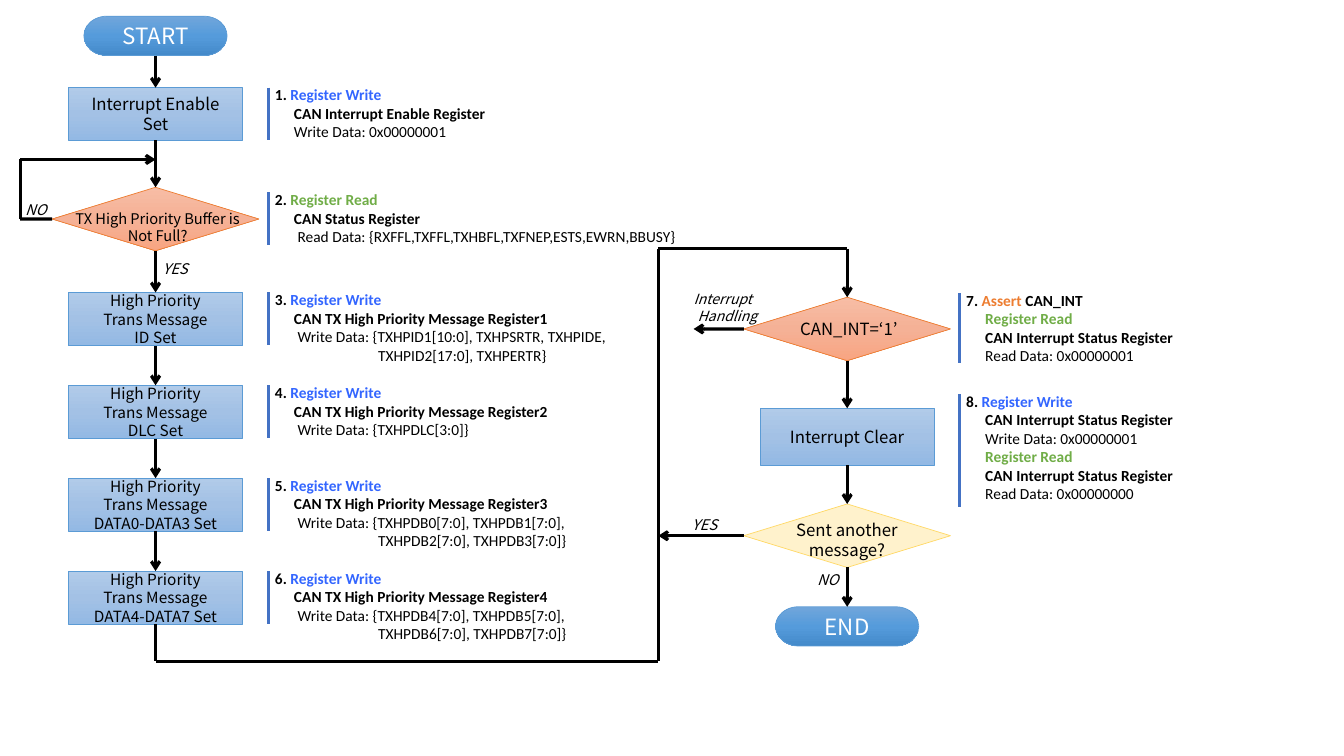
import copy
import pptx
import pptx.util
import pptx.dml.color
import pptx.enum.shapes
import pptx.enum.text
import pptx.oxml
import pptx.oxml.ns

Cm = pptx.util.Cm
Pt = pptx.util.Pt
RGB = pptx.dml.color.RGBColor.from_string
MSO = pptx.enum.shapes.MSO_SHAPE
ALIGN = pptx.enum.text.PP_ALIGN
ANCHOR = pptx.enum.text.MSO_ANCHOR
qn = pptx.oxml.ns.qn

THEME = {
    "colors": {"black": "000000", "white": "FFFFFF", "write": "3366FF", "read": "70AD47",
               "assert": "ED7D31", "bar": "4472C4"},
    "fills": {"terminator": ["71A6DB", "559BDB", "448ACA"], "process": ["B1CBE9", "A3C1E5", "93B9E4"],
              "decision": ["F7BDA5", "F5B196", "F8A582"], "again": ["FFF2CC"]},
    "outlines": {"terminator": "5B9BD5", "process": "5B9BD5", "decision": "ED7D31", "again": "FFD966"},
    "text": {
        "terminator": {"name": "Noto Sans CJK JP", "size": Pt(16)},
        "step": {"name": "Noto Sans CJK JP", "size": Pt(12)},
        "message": {"name": "Noto Sans CJK JP", "size": Pt(11)},
        "buffer": {"name": "Noto Sans CJK JP", "size": Pt(10.5)},
        "label": {"name": "Noto Sans CJK JP", "size": Pt(10.5), "italic": True},
        "handling": {"name": "Noto Sans CJK JP", "size": Pt(10), "italic": True},
        "head": {"name": "Calibri", "size": Pt(11), "bold": True},
        "body": {"name": "Calibri", "size": Pt(11), "bold": False},
    },
}


def write(tf, paragraphs, align, frame):
    for k, v in {"word_wrap": True, **frame}.items():
        setattr(tf, k, v)
    for i, (indent, runs) in enumerate(paragraphs):
        p = tf.add_paragraph() if i else tf.paragraphs[0]
        p.alignment = align
        if indent:
            p._p.get_or_add_pPr().set("marL", str(Cm(indent)))
        for text, style, color in runs:
            r = p.add_run()
            r.text = text
            for k, v in THEME["text"][style].items():
                setattr(r.font, k, v)
            r.font.color.rgb = RGB(THEME["colors"][color])


def link(start, end, color="black", arrow=False):
    ends = [(0, 0) if isinstance(e[0], str) else e for e in (start, end)]
    c = s.shapes.add_connector(pptx.enum.shapes.MSO_CONNECTOR.STRAIGHT,
                               *[Cm(v) for e in ends for v in e])
    for e, join in ((start, c.begin_connect), (end, c.end_connect)):
        if isinstance(e[0], str):
            join(nodes[e[0]], e[1])
    c.line.width = Pt(2.25)
    c.line.color.rgb = RGB(THEME["colors"][color])
    if arrow:
        tail = pptx.oxml.parse_xml('<a:tailEnd %s type="arrow"/>' % pptx.oxml.ns.nsdecls("a"))
        c.line._get_or_add_ln().append(tail)
    c._element.spPr.append(pptx.oxml.parse_xml("<a:effectLst %s/>" % pptx.oxml.ns.nsdecls("a")))


prs = pptx.Presentation()
prs.slide_width, prs.slide_height = Cm(33.87), Cm(19.05)
s = prs.slides.add_slide(prs.slide_layouts[6])

LEFT_X, RIGHT_X, RETURN_X, RETRY_X = 3.92, 21.35, 16.59, 0.51
MESSAGE_Y, PITCH = 7.37, 2.34
message_tops = [MESSAGE_Y + PITCH * i for i in range(4)]
kinds = {"terminator": (MSO.FLOWCHART_TERMINATOR, 3.61), "process": (MSO.RECTANGLE, 4.39),
         "decision": (MSO.FLOWCHART_DECISION, 5.21), "again": (MSO.FLOWCHART_DECISION, 5.21)}
steps = [
    ("start", "terminator", LEFT_X, 0.41, 0.99, "terminator", ["START"]),
    ("enable", "process", LEFT_X, 2.21, 1.33, "step", ["Interrupt Enable Set"]),
    ("buffer", "decision", LEFT_X, 4.72, 1.6, None, []),
    ("id", "process", LEFT_X, message_tops[0], 1.34, "message", ["High Priority", "Trans Message", "ID Set"]),
    ("dlc", "process", LEFT_X, message_tops[1], 1.34, "message", ["High Priority", "Trans Message", "DLC Set"]),
    ("data0", "process", LEFT_X, message_tops[2], 1.34, "message",
     ["High Priority", "Trans Message DATA0-DATA3 Set"]),
    ("data4", "process", LEFT_X, message_tops[3], 1.34, "message",
     ["High Priority", "Trans Message DATA4-DATA7 Set"]),
    ("can_int", "decision", RIGHT_X, 7.49, 1.6, None, []),
    ("clear", "process", RIGHT_X, 10.29, 1.43, "step", ["Interrupt Clear"]),
    ("again", "again", RIGHT_X, 12.7, 1.6, None, []),
    ("end", "terminator", RIGHT_X, 15.29, 0.99, "terminator", ["END"]),
]
nodes = {}
for name, kind, x, top, height, style, lines in steps:
    preset, width = kinds[kind]
    sp = s.shapes.add_shape(preset, Cm(x - width / 2), Cm(top), Cm(width), Cm(height))
    sp.shadow.inherit = False
    stops = THEME["fills"][kind]
    if len(stops) == 1:
        sp.fill.solid()
        sp.fill.fore_color.rgb = RGB(stops[0])
    else:
        sp.fill.gradient()
        sp.fill.gradient_angle = 270
        first = sp._element.spPr.find(qn("a:gradFill")).find(qn("a:gsLst"))[0]
        first.addnext(copy.deepcopy(first))
        for i, stop in enumerate(sp.fill.gradient_stops):
            stop.position = i / 2
            stop.color.rgb = RGB(stops[i])
    sp.line.color.rgb = RGB(THEME["outlines"][kind])
    sp.line.width = Pt(0.5)
    color = "white" if kind == "terminator" else "black"
    write(sp.text_frame, [(0, [(line, style, color)]) for line in lines], ALIGN.CENTER,
          {"vertical_anchor": ANCHOR.MIDDLE})
    nodes[name] = sp

for chain in (["start", "enable", "buffer", "id", "dlc", "data0", "data4"],
              ["can_int", "clear", "again", "end"]):
    for upper, lower in zip(chain, chain[1:]):
        link((upper, 2), (lower, 0), arrow=True)

paths = [
    [("buffer", 1), (RETRY_X, 5.52), (RETRY_X, 4.02), (LEFT_X, 4.02)],
    [("data4", 2), (LEFT_X, 16.66), (RETURN_X, 16.66), (RETURN_X, 6.27), (RIGHT_X, 6.27), ("can_int", 0)],
    [("can_int", 1), (17.48, 8.29)],
    [("again", 1), (RETURN_X, 13.5)],
]
for points in paths:
    for i, (a, b) in enumerate(zip(points, points[1:])):
        link(a, b, arrow=i == len(points) - 2)

NOTE, DATA, MORE = 0.48, 0.57, 2.6
LEFT_NOTE, RIGHT_NOTE = 6.68, 24.1
WRITE, READ = ("Register Write", "write"), ("Register Read", "read")
notes = [
    (LEFT_NOTE, 2.21, 1.33, 7.39, "1. ", WRITE,
     [(NOTE, "CAN Interrupt Enable Register", "head"), (NOTE, "Write Data: 0x00000001", "body")]),
    (LEFT_NOTE, 4.85, 1.33, 10.8, "2. ", READ,
     [(NOTE, "CAN Status Register", "head"),
      (DATA, "Read Data: {RXFFL,TXFFL,TXHBFL,TXFNEP,ESTS,EWRN,BBUSY}", "body")]),
    (RIGHT_NOTE, 7.39, 1.75, 9.25, "7. ", ("Assert ", "assert"),
     [(NOTE, "Register Read", "read"), (NOTE, "CAN Interrupt Status Register", "head"),
      (NOTE, "Read Data: 0x00000001", "body")]),
    (RIGHT_NOTE, 9.93, 2.84, 9.25, "8. ", WRITE,
     [(NOTE, "CAN Interrupt Status Register", "head"), (NOTE, "Write Data: 0x00000001", "body"),
      (NOTE, "Register Read", "read"), (NOTE, "CAN Interrupt Status Register", "head"),
      (NOTE, "Read Data: 0x00000000", "body")]),
]
message_data = [
    (8.99, ["{TXHPID1[10:0], TXHPSRTR, TXHPIDE,", "TXHPID2[17:0], TXHPERTR}"]),
    (8.61, ["{TXHPDLC[3:0]}"]),
    (8.33, ["{TXHPDB0[7:0], TXHPDB1[7:0],", "TXHPDB2[7:0], TXHPDB3[7:0]}"]),
    (8.13, ["{TXHPDB4[7:0], TXHPDB5[7:0],", "TXHPDB6[7:0], TXHPDB7[7:0]}"]),
]
for i, (width, fields) in enumerate(message_data):
    lines = [(NOTE, f"CAN TX High Priority Message Register{i + 1}", "head"),
             (DATA, "Write Data: " + fields[0], "body")]
    lines += [(MORE, field, "body") for field in fields[1:]]
    notes.append((LEFT_NOTE, message_tops[i], 1.33, width, f"{i + 3}. ", WRITE, lines))

for x, top, height, width, number, (action, color), lines in notes:
    head = [(number, "head", "black"), (action, "head", color)]
    if color == "assert":
        head.append(("CAN_INT", "head", "black"))
    paragraphs = [(0, head)]
    for indent, text, style in lines:
        paragraphs.append((indent, [(text, "head", "read") if style == "read" else (text, style, "black")]))
    tb = s.shapes.add_textbox(Cm(x), Cm(top - 0.18), Cm(width), Cm(0.27 + 0.47 * len(paragraphs)))
    write(tb.text_frame, paragraphs, ALIGN.LEFT, {})
    link((x + 0.08, top), (x + 0.08, top + height), "bar")

middle = {"vertical_anchor": ANCHOR.MIDDLE}
flush = {"margin_left": 0, "margin_right": 0}
labels = [
    (1.65, 5.33, 4.65, 0.79, "buffer", [(0, "TX High Priority Buffer is Not Full?")], ALIGN.CENTER, middle),
    (19.2, 7.9, 4.39, 0.79, "step", [(0, "CAN_INT=‘1’")], ALIGN.CENTER, middle),
    (19.02, 13.21, 4.65, 0.79, "step", [(0, "Sent another message?")], ALIGN.CENTER, middle),
    (0.36, 4.93, 1.09, 0.74, "label", [(0, "NO")], ALIGN.CENTER, {}),
    (3.78, 6.43, 1.27, 0.74, "label", [(0, "YES")], ALIGN.CENTER, {}),
    (20.32, 14.27, 1.09, 0.74, "label", [(0, "NO")], ALIGN.CENTER, {}),
    (17.12, 12.88, 1.27, 0.74, "label", [(0, "YES")], ALIGN.CENTER, {}),
    (17.48, 7.19, 1.85, 1.12, "handling", [(0, "Interrupt"), (0.1, "Handling")], ALIGN.LEFT, flush),
]
for x, y, width, height, style, lines, align, frame in labels:
    tb = s.shapes.add_textbox(Cm(x), Cm(y), Cm(width), Cm(height))
    write(tb.text_frame, [(indent, [(text, style, "black")]) for indent, text in lines], align, frame)

prs.save("out.pptx")
